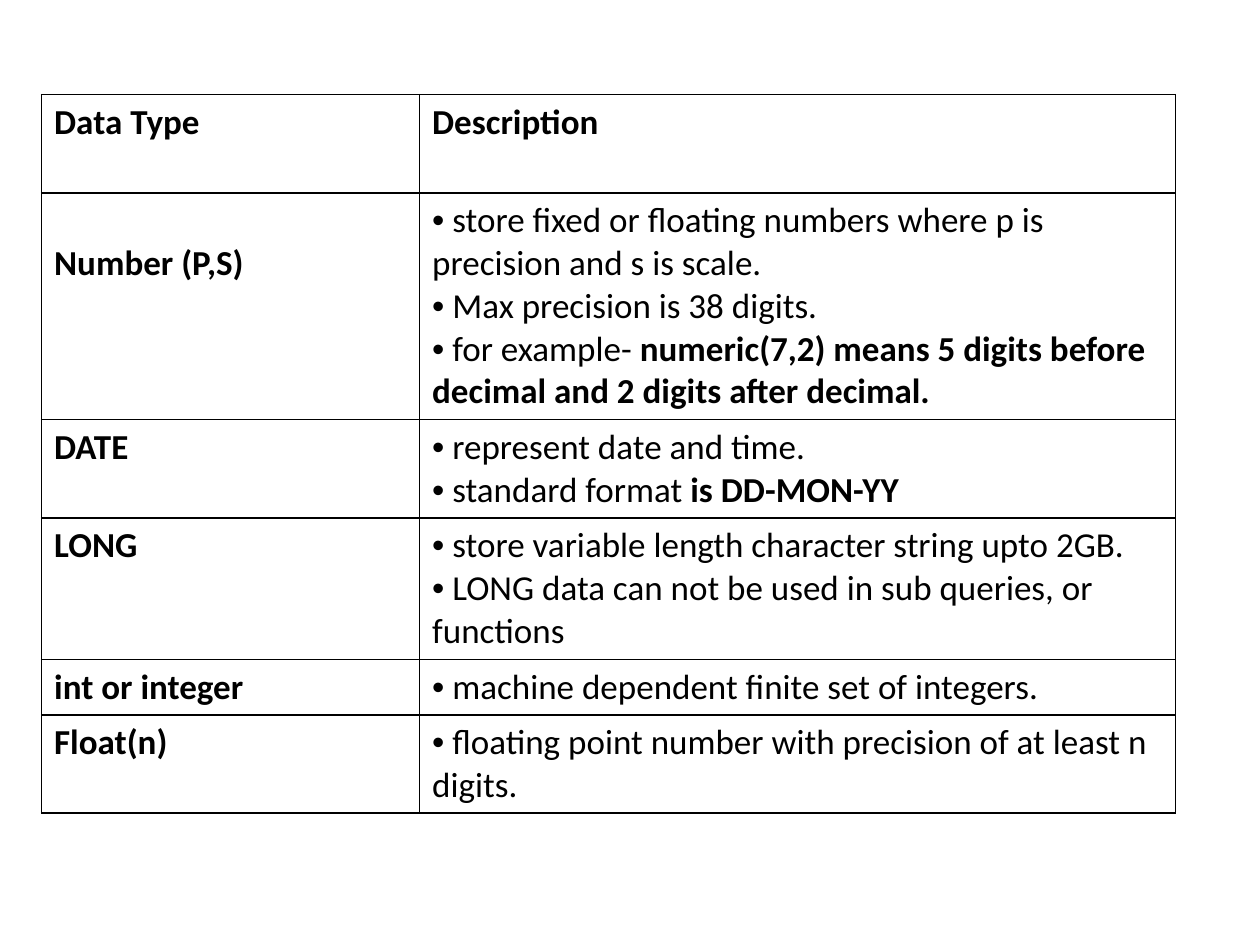
from lxml.etree import SubElement
from pptx import Presentation
from pptx.dml.color import RGBColor
from pptx.oxml.ns import qn
from pptx.util import Inches, Pt

# Content: label, description paragraphs as (plain, bold), lines of text in the row
HEADER = ("Data Type", "Description")
HEADER_LINES = 2
TYPES = [
    ("Number (P,S)", [
        (" store fixed or floating numbers where p is precision and s is scale.", ""),
        (" Max precision is 38 digits.", ""),
        (" for example- ",
         "numeric(7,2) means 5 digits before decimal and 2 digits after decimal."),
    ], 5),
    ("DATE", [
        (" represent date and time.", ""),
        (" standard format ", "is DD-MON-YY"),
    ], 2),
    ("LONG", [
        (" store variable length character string upto 2GB.", ""),
        (" LONG data can not be used in sub queries, or functions", ""),
    ], 3),
    ("int or integer", [(" machine dependent finite set of integers.", "")], 1),
    ("Float(n)", [(" floating point number with precision of at least n digits.", "")], 2),
]
LOWERED_LABEL = "Number (P,S)"  # sits one line below the top of its cell

LEFT, TOP = 0.33, 0.75
COLUMNS = (3, 6)
LINE, MARGIN = 0.34, 0.05
BLACK = "000000"


def color(value):
    return RGBColor.from_string(value)


def add_span(para, text, bold):
    span = para.add_run()
    span.text = text
    span.font.name = "Calibri"
    span.font.size = Pt(20)
    span.font.bold = bold
    span.font.color.rgb = color(BLACK)


def add_bullet(para):
    props = para._p.get_or_add_pPr()
    props.set("marL", "0")
    props.set("indent", "0")
    SubElement(props, qn("a:buFont"), typeface="Arial")
    SubElement(props, qn("a:buChar"), char="•")


def style_cell(cell):
    cell.margin_top = cell.margin_bottom = Inches(MARGIN)
    props = cell._tc.get_or_add_tcPr()
    for side in ("a:lnL", "a:lnR", "a:lnT", "a:lnB"):
        border = SubElement(props, qn(side), w=str(Pt(1)))
        fill = SubElement(border, qn("a:solidFill"))
        SubElement(fill, qn("a:srgbClr"), val=BLACK)
    cell.fill.background()


def fill_description(cell, items):
    frame = cell.text_frame
    for index, (plain, bold) in enumerate(items):
        para = frame.add_paragraph() if index else frame.paragraphs[0]
        add_bullet(para)
        add_span(para, plain, False)
        if bold:
            add_span(para, bold, True)


deck = Presentation()
deck.slide_width, deck.slide_height = Inches(10), Inches(7.5)
page = deck.slides.add_slide(deck.slide_layouts[6])

# Table grid: each row is as tall as its lines of text
heights = [lines * LINE + 2 * MARGIN
           for lines in [HEADER_LINES] + [entry[2] for entry in TYPES]]
table = page.shapes.add_table(
    len(heights), len(COLUMNS), Inches(LEFT), Inches(TOP),
    Inches(sum(COLUMNS)), Inches(sum(heights))).table
table.first_row = table.horz_banding = False
for column, width in zip(table.columns, COLUMNS):
    column.width = Inches(width)
for row, height in zip(table.rows, heights):
    row.height = Inches(height)
for cell in table.iter_cells():
    style_cell(cell)

# Header row
for index, title in enumerate(HEADER):
    add_span(table.cell(0, index).text_frame.paragraphs[0], title, True)

# Data type rows
for number, (label, items, _) in enumerate(TYPES, start=1):
    label_cell = table.cell(number, 0)
    add_span(label_cell.text_frame.paragraphs[0], label, True)
    if label == LOWERED_LABEL:
        label_cell.margin_top = Inches(MARGIN + LINE)
    fill_description(table.cell(number, 1), items)

deck.save("out.pptx")
